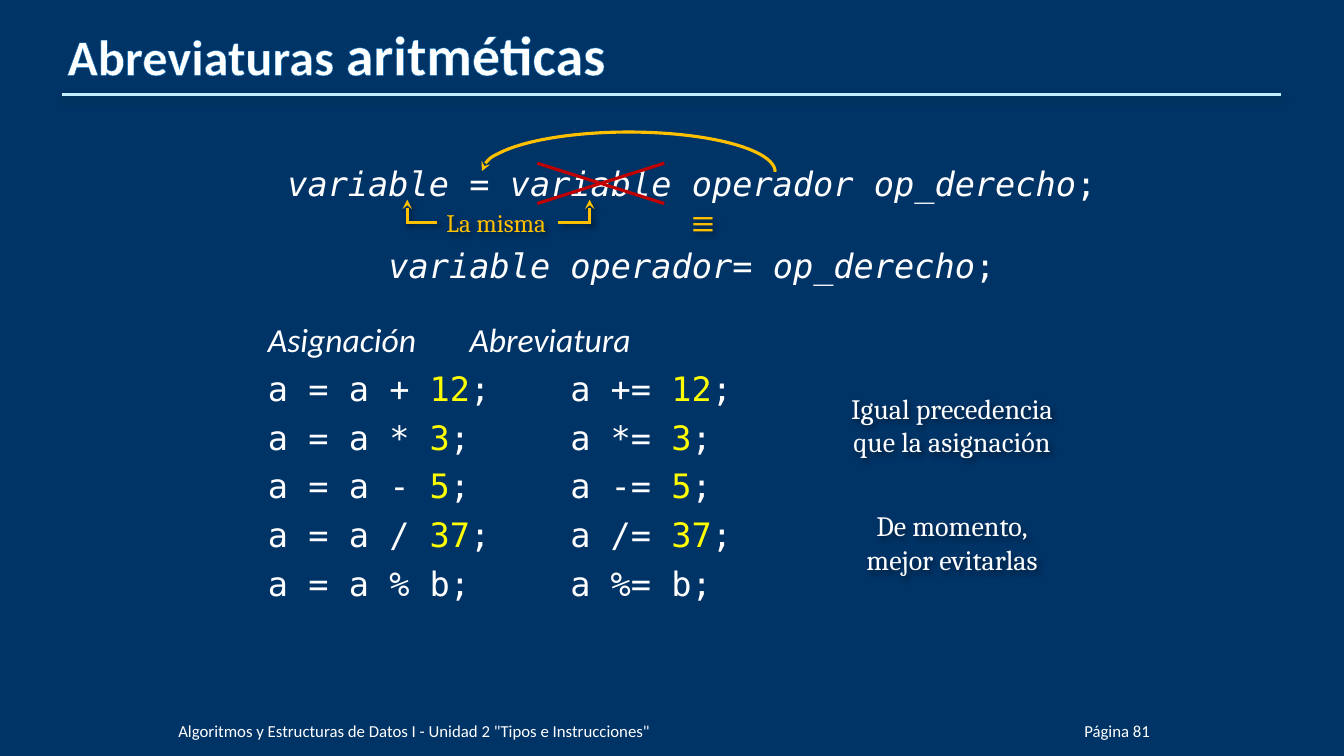
from dataclasses import dataclass

from lxml.etree import SubElement
from pptx import Presentation
from pptx.dml.color import RGBColor
from pptx.enum.shapes import MSO_CONNECTOR, MSO_SHAPE
from pptx.enum.text import MSO_ANCHOR, MSO_AUTO_SIZE, PP_ALIGN
from pptx.oxml.ns import qn
from pptx.util import Pt

NAVY = RGBColor(0x00, 0x33, 0x66)
WHITE = RGBColor(0xFF, 0xFF, 0xFF)
YELLOW = RGBColor(0xFF, 0xFF, 0x00)
AMBER = RGBColor(0xFF, 0xC0, 0x00)
RED = RGBColor(0xC0, 0x00, 0x00)
PALE_BLUE = RGBColor(0xC4, 0xEF, 0xFF)
OUTLINE_BLUE = RGBColor(0x00, 0x70, 0xC0)
DEEP_TEAL = RGBColor(0x00, 0x37, 0x4C)
BLACK = RGBColor(0x00, 0x00, 0x00)
SANS, SERIF, MONO = "Calibri", "Cambria", "DejaVu Sans Mono"


@dataclass(frozen=True)
class Shadow:
    color: RGBColor
    opacity: int
    blur: float
    distance: float
    angle: int


@dataclass(frozen=True)
class Line:
    x1: float
    y1: float
    x2: float
    y2: float
    color: RGBColor
    shadow: Shadow | None = None
    arrow: bool = False


@dataclass(frozen=True)
class Span:
    text: str
    color: RGBColor | None = None
    italic: bool | None = None
    size: float | None = None


@dataclass(frozen=True)
class Para:
    spans: tuple[Span, ...]
    font: str
    size: float | None
    color: RGBColor = WHITE
    align: PP_ALIGN = PP_ALIGN.LEFT
    before: float = 0
    after: float = 6
    tab: float | None = None
    italic: bool | None = None
    bold: bool | None = None


RULE_SHADOW = Shadow(DEEP_TEAL, 48, 4.5, 3, 90)
NOTE_SHADOW = Shadow(BLACK, 40, 4, 3, 45)

RULE = Line(44.6, 67.7, 915.1, 67.7, PALE_BLUE, RULE_SHADOW)
SAME_LINES = [
    Line(290.9, 159.8, 290.9, 142.6, AMBER, NOTE_SHADOW, True),
    Line(421.2, 159.8, 421.2, 142.6, AMBER, NOTE_SHADOW, True),
    Line(312.5, 159.1, 290.2, 159.1, AMBER, NOTE_SHADOW),
    Line(421.9, 159.1, 398.9, 159.1, AMBER, NOTE_SHADOW),
]
CROSS_LINES = [
    Line(383.8, 116.6, 474.5, 145.4, RED),
    Line(383.8, 145.4, 474.5, 116.6, RED),
]
OPERATIONS = [("+", "12"), ("*", "3"), ("-", "5"), ("/", "37"), ("%", "b")]


def set_shadow(sp_pr, shadow: Shadow | None) -> None:
    effects = SubElement(sp_pr, qn("a:effectLst"))
    if shadow:
        outer = SubElement(effects, qn("a:outerShdw"), {
            "blurRad": str(Pt(shadow.blur)), "dist": str(Pt(shadow.distance)),
            "dir": str(shadow.angle * 60000), "algn": "tl", "rotWithShape": "0"})
        color = SubElement(outer, qn("a:srgbClr"), val=str(shadow.color))
        SubElement(color, qn("a:alpha"), val=str(shadow.opacity * 1000))


def draw_line(shapes, line: Line) -> None:
    cxn = shapes.add_connector(MSO_CONNECTOR.STRAIGHT, Pt(line.x1), Pt(line.y1),
                               Pt(line.x2), Pt(line.y2))
    cxn.line.color.rgb = line.color
    cxn.line.width = Pt(2.25)
    if line.arrow:
        SubElement(cxn.line._get_or_add_ln(), qn("a:tailEnd"), type="stealth")
    set_shadow(cxn._element.spPr, line.shadow)


def fill_paragraph(p, para: Para) -> None:
    p.alignment = para.align
    p.space_before, p.space_after = Pt(para.before), Pt(para.after)
    if para.tab:
        tabs = SubElement(p._p.get_or_add_pPr(), qn("a:tabLst"))
        SubElement(tabs, qn("a:tab"), pos=str(Pt(para.tab)), algn="l")
    p.font.name, p.font.bold, p.font.italic = para.font, para.bold, para.italic
    p.font.color.rgb = para.color
    if para.size:
        p.font.size = Pt(para.size)
    for span in para.spans:
        for i, part in enumerate(span.text.split("\n")):
            if i:
                p.add_line_break()
            r = p.add_run()
            r.text = part
            if span.color is not None:
                r.font.color.rgb = span.color
            if span.italic is not None:
                r.font.italic = span.italic
            if span.size is not None:
                r.font.size = Pt(span.size)


def add_text(shapes, box: tuple[float, float, float, float], paras: list[Para],
             insets: tuple[float, float, float, float] = (7.2, 3.6, 7.2, 3.6),
             anchor: MSO_ANCHOR = MSO_ANCHOR.TOP, wrap: bool = True,
             shadow: Shadow | None = None):
    sp = shapes.add_textbox(*map(Pt, box))
    tf = sp.text_frame
    tf.word_wrap, tf.vertical_anchor = wrap, anchor
    tf.auto_size = MSO_AUTO_SIZE.NONE if wrap else MSO_AUTO_SIZE.SHAPE_TO_FIT_TEXT
    tf.margin_left, tf.margin_top, tf.margin_right, tf.margin_bottom = map(Pt, insets)
    for i, para in enumerate(paras):
        fill_paragraph(tf.add_paragraph() if i else tf.paragraphs[0], para)
    if shadow:
        set_shadow(sp._element.spPr, shadow)
    return sp


def outline_text(sp) -> None:
    for r in sp.text_frame.paragraphs[0].runs:
        ln = SubElement(r._r.get_or_add_rPr(), qn("a:ln"), w=str(Pt(0.75)))
        fill = SubElement(ln, qn("a:solidFill"))
        SubElement(fill, qn("a:srgbClr"), val=str(OUTLINE_BLUE))


def operation_row(operator: str, operand: str) -> Para:
    color = YELLOW if operand.isdigit() else None
    value = Span(operand, color)
    return Para((Span(f"a = a {operator} "), value, Span(f";\ta {operator}= "),
                 value, Span(";")), MONO, 24, tab=216)


def body_paragraphs() -> list[Para]:
    def syntax(*texts: str, before: float = 0) -> Para:
        """Alternate italic and upright pieces."""
        spans = tuple(Span(t, italic=i % 2 == 0) for i, t in enumerate(texts))
        return Para(spans, MONO, 24, align=PP_ALIGN.CENTER, before=before)

    return [
        syntax("variable", " = ", "variable operador op_derecho", ";"),
        syntax("variable operador", "= ", "op_derecho", ";", before=24),
        Para((Span("Asignación\tAbreviatura"),), SANS, 24, before=18, tab=144, italic=True),
        *(operation_row(*operation) for operation in OPERATIONS),
    ]


def add_return_arc(shapes) -> None:
    arc = shapes.add_shape(MSO_SHAPE.ARC, Pt(344.2), Pt(94.3), Pt(209.5), Pt(56.9))
    arc.adjustments[0], arc.adjustments[1] = 108.18, 0
    arc.shadow.inherit = False
    arc.fill.background()
    arc.line.color.rgb = AMBER
    arc.line.width = Pt(2.25)
    SubElement(arc.line._get_or_add_ln(), qn("a:headEnd"), type="stealth")


def main() -> None:
    prs = Presentation()
    prs.slide_width, prs.slide_height = Pt(960), Pt(540)
    s = prs.slides.add_slide(prs.slide_layouts[6])
    s.background.fill.solid()
    s.background.fill.fore_color.rgb = NAVY
    shapes = s.shapes

    draw_line(shapes, RULE)
    title = Para((Span("Abreviaturas ", size=36), Span("aritméticas", size=40)),
                 SANS, None, after=0, bold=True)
    outline_text(add_text(shapes, (48.2, 22.3, 864, 39.6), [title],
                          (0, 3.6, 0, 0), MSO_ANCHOR.BOTTOM))
    add_text(shapes, (156.2, 112.7, 648, 367), body_paragraphs(), (35.2, 3.6, 7.2, 3.6))

    footers = [
        ((727.2, 500.4, 94.3, 28.8), "Página 81", PP_ALIGN.RIGHT),
        ((127.4, 500.4, 585.4, 28.8),
         'Algoritmos y Estructuras de Datos I - Unidad 2 "Tipos e Instrucciones"', PP_ALIGN.LEFT),
    ]
    for box, text, align in footers:
        add_text(shapes, box, [Para((Span(text),), SANS, 12, align=align, after=0)],
                 (0, 0, 0, 0), MSO_ANCHOR.BOTTOM)

    remarks = [Para((Span(text),), SERIF, 20, align=PP_ALIGN.CENTER, before=before)
               for text, before in (("Igual precedencia\nque la asignación", 0),
                                    ("De momento,\nmejor evitarlas", 30))]
    add_text(shapes, (596.9, 275.8, 166.3, 140.4), remarks, wrap=False, shadow=NOTE_SHADOW)

    same = shapes.add_group_shape().shapes
    for line in SAME_LINES:
        draw_line(same, line)
    add_text(same, (311.8, 144.7, 89.3, 28.8), [Para((Span("La misma"),), SERIF, 18, AMBER)],
             wrap=False, shadow=NOTE_SHADOW)
    add_text(shapes, (486, 133.9, 32.4, 46.1),
             [Para((Span("≡"),), SERIF, 32, AMBER, PP_ALIGN.CENTER)],
             wrap=False, shadow=NOTE_SHADOW)
    cross = shapes.add_group_shape().shapes
    for line in CROSS_LINES:
        draw_line(cross, line)
    add_return_arc(shapes)
    prs.save("out.pptx")


if __name__ == "__main__":
    main()
